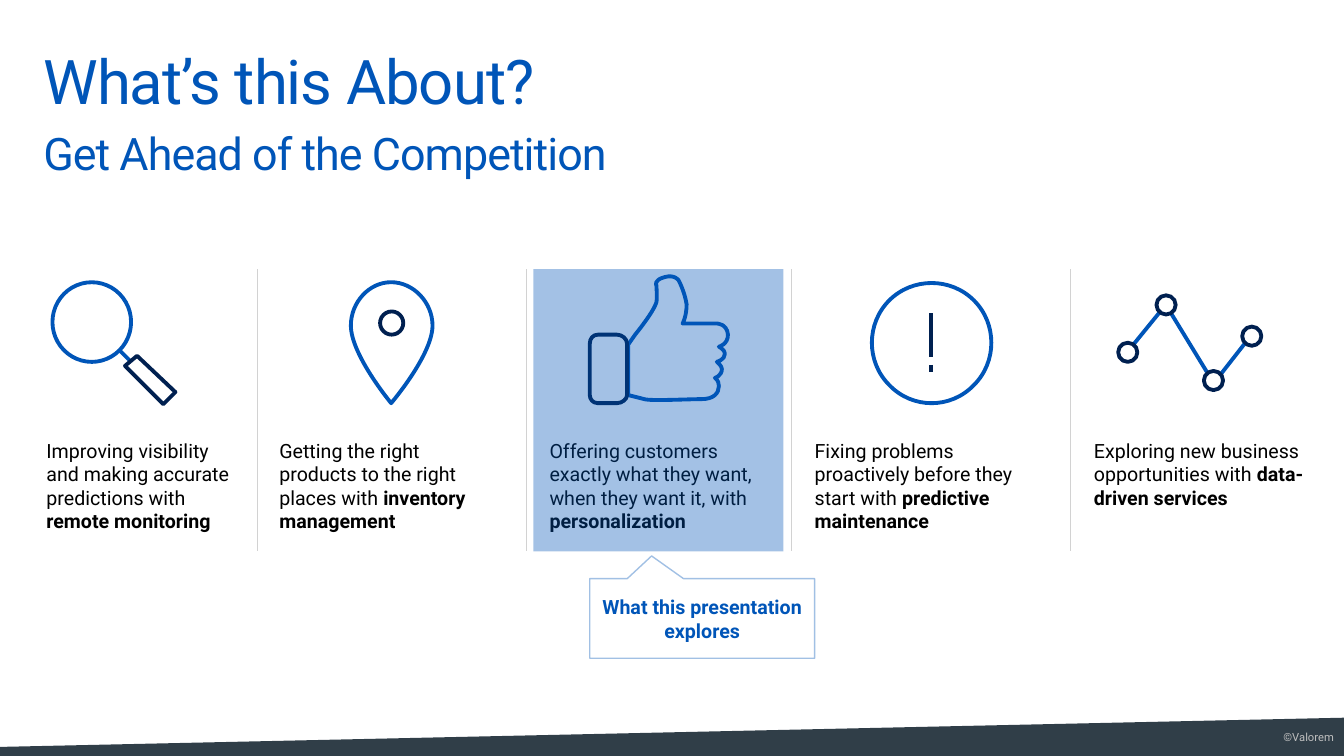
from lxml import etree
from pptx import Presentation
from pptx.dml.color import RGBColor
from pptx.enum.shapes import MSO_CONNECTOR, MSO_SHAPE
from pptx.enum.text import MSO_ANCHOR, PP_ALIGN
from pptx.oxml.ns import qn
from pptx.util import Inches, Pt

STRAIGHT = MSO_CONNECTOR.STRAIGHT
RECT, OVAL = MSO_SHAPE.RECTANGLE, MSO_SHAPE.OVAL
CALLOUT = MSO_SHAPE.RECTANGULAR_CALLOUT
TOP, MIDDLE = MSO_ANCHOR.TOP, MSO_ANCHOR.MIDDLE
LEFT, CENTER, RIGHT = PP_ALIGN.LEFT, PP_ALIGN.CENTER, PP_ALIGN.RIGHT

THEME = {
    "font": "Roboto", "blue": "0055B8", "navy": "002050", "black": "000000",
    "rule": "D2D2D2", "slate": "303E48", "grey": "BFBFBF",
    "title": 44, "sub": 32, "body": 14, "foot": 8,
    "stroke": 2.75, "hair": 0.75, "alpha": 36,
}

# Left edge, width, height, plain words, bold words
TOPICS = [
    (0.46, 1.85, 0.88, "Improving visibility and making accurate predictions with ",
     "remote monitoring"),
    (2.77, 2.21, 0.88, "Getting the right products to the right places with ",
     "inventory management"),
    (5.45, 2.18, 1.05, "Offering customers exactly what they want, when they want it, with ",
     "personalization"),
    (8.08, 2.31, 0.79, "Fixing problems proactively before they start with ",
     "predictive maintenance"),
    (10.85, 2.1, 0.53, "Exploring new business opportunities with ",
     "data-driven services"),
]
TEXT_TOP = 4.35
BAND_TOP, BAND_END = 2.67, 5.47
RULES = [2.55, 5.22, 7.85, 10.62]

# Icon parts: (colour, x1, y1, x2, y2) and (colour, left, top, width, height)
STROKES = [
    ("blue", 1.18, 3.47, 1.3, 3.59),
    ("navy", 9.23, 3.11, 9.23, 3.54), ("navy", 9.23, 3.62, 9.23, 3.69),
    ("blue", 11.24, 3.42, 11.5, 3.1), ("blue", 11.61, 3.1, 11.97, 3.69),
    ("blue", 12.11, 3.71, 12.36, 3.39),
]
NODE = 0.19
NODES = [(11.47, 2.93), (11.09, 3.4), (12.32, 3.24), (11.94, 3.68)]
RINGS = [("blue", 0.52, 2.8, 0.78, 0.79), ("navy", 3.77, 3.09, 0.23, 0.23)]
RINGS += [("navy", x, y, NODE, NODE) for x, y in NODES]

# Outlines: a pair is a straight step, six numbers are a Bezier step
FOOTER = [(13.33, 7.12), (13.33, 7.5), (0, 7.5), (0, 7.41)]
HANDLE = [(1.74, 3.89), (1.62, 4.01), (1.24, 3.63), (1.36, 3.53)]
PIN = [
    (4.29, 3.23), (4.29, 3, 4.1, 2.8, 3.88, 2.8), (3.66, 2.8, 3.48, 3, 3.48, 3.23),
    (3.48, 3.52, 3.88, 4, 3.88, 4), (3.88, 4, 4.29, 3.52, 4.29, 3.23),
]
THUMB = [
    (6.3, 3.32), (6.3, 3.32, 6.48, 3.1, 6.51, 3), (6.52, 2.96, 6.51, 2.83, 6.51, 2.83),
    (6.51, 2.83, 6.48, 2.78, 6.59, 2.75), (6.69, 2.72, 6.73, 2.78, 6.73, 2.78),
    (6.73, 2.78, 6.79, 2.89, 6.81, 3.02), (6.81, 3.14, 6.77, 3.21, 6.77, 3.21),
    (7.11, 3.21), (7.11, 3.21, 7.21, 3.21, 7.22, 3.32),
    (7.22, 3.42, 7.13, 3.44, 7.13, 3.44), (7.13, 3.44, 7.19, 3.47, 7.19, 3.51),
    (7.19, 3.57, 7.11, 3.59, 7.11, 3.59), (7.11, 3.59, 7.16, 3.63, 7.16, 3.66),
    (7.16, 3.73, 7.09, 3.75, 7.09, 3.75), (7.09, 3.75, 7.13, 3.77, 7.13, 3.83),
    (7.13, 3.9, 7.08, 3.96, 6.96, 3.96), (6.83, 3.96, 6.45, 3.98, 6.39, 3.96),
    (6.23, 3.92), (6.23, 3.42),
]
CUFF = [
    (6.12, 4), (5.93, 4), (5.88, 4, 5.85, 3.96, 5.85, 3.92), (5.85, 3.41),
    (5.85, 3.36, 5.88, 3.32, 5.93, 3.32), (6.12, 3.32),
    (6.17, 3.32, 6.22, 3.36, 6.22, 3.41), (6.22, 3.92),
    (6.22, 3.96, 6.17, 4, 6.12, 4),
]
ALERT = [
    (9.66, 2.98), (9.89, 3.21, 9.89, 3.59, 9.66, 3.82),
    (9.43, 4.06, 9.05, 4.06, 8.82, 3.82), (8.59, 3.59, 8.59, 3.21, 8.82, 2.98),
    (9.05, 2.75, 9.43, 2.75, 9.66, 2.98),
]
OUTLINES = [("navy", HANDLE), ("blue", PIN), ("blue", THUMB), ("navy", CUFF), ("blue", ALERT)]

deck = Presentation()
deck.slide_width, deck.slide_height = Inches(13.33), Inches(7.5)
slide = deck.slides.add_slide(deck.slide_layouts[6])
shapes = slide.shapes


def color(name):
    return RGBColor.from_string(THEME[name])


def paint(shape, fill=None, line=None, width=THEME["stroke"]):
    shape.shadow.inherit = False
    if fill:
        shape.fill.solid()
        shape.fill.fore_color.rgb = color(fill)
    else:
        shape.fill.background()
    if line:
        shape.line.color.rgb = color(line)
        shape.line.width = Pt(width)
    else:
        shape.line.fill.background()
    return shape


def fade(shape):
    """Make the fill and line colours see-through."""
    for tone in shape._element.spPr.iter(qn("a:srgbClr")):
        etree.SubElement(tone, qn("a:alpha")).set("val", str(THEME["alpha"] * 1000))


def preset(kind, box, **look):
    return paint(shapes.add_shape(kind, *map(Inches, box)), **look)


def stroke(tone, ends, width=THEME["stroke"]):
    line = shapes.add_connector(STRAIGHT, *map(Inches, ends))
    line.line.color.rgb = color(tone)
    line.line.width = Pt(width)
    etree.SubElement(line._element.spPr, qn("a:effectLst"))


def outline(steps, **look):
    """Draw a closed shape, turning each six-number step into a Bezier curve."""
    start, *rest = [[Inches(n) for n in step] for step in steps]
    pen = shapes.build_freeform(*start, scale=1.0)
    for step in rest:
        pen.add_line_segments(list(zip(step[::2], step[1::2])), close=False)
    pen.add_line_segments([], close=True)
    shape = pen.convert_to_shape()
    parts = iter(list(shape._element.iter(qn("a:lnTo"))))
    for step in rest:
        part = next(parts)
        if len(step) == 6:
            part.tag = qn("a:cubicBezTo")
            for extra in (next(parts), next(parts)):
                part.append(extra[0])
                extra.getparent().remove(extra)
    return paint(shape, **look)


def write(shape, paras, tone="black", align=LEFT, anchor=TOP, inset=None,
          before=0, after=0, track=None):
    """Fill a shape with paragraphs, each a list of (words, size, bold)."""
    frame = shape.text_frame
    frame.word_wrap = True
    frame.vertical_anchor = anchor
    if inset:
        (frame.margin_left, frame.margin_top,
         frame.margin_right, frame.margin_bottom) = map(Inches, inset)
    for i, runs in enumerate(paras):
        para = frame.add_paragraph() if i else frame.paragraphs[0]
        para.alignment = align
        para.space_before, para.space_after = Pt(before if i else 0), Pt(after)
        for words, size, bold in runs:
            run = para.add_run()
            run.text = words
            run.font.name, run.font.size = THEME["font"], Pt(THEME[size])
            run.font.bold, run.font.color.rgb = bold, color(tone)
            if track:
                run._r.get_or_add_rPr().set("spc", str(track))


footer = outline(FOOTER, fill="slate")
write(footer, [[("©Valorem", "foot", False)]], tone="grey", align=RIGHT, anchor=MIDDLE)

for left, width, height, plain, bold in TOPICS:
    box = shapes.add_textbox(*map(Inches, (left, TEXT_TOP, width, height)))
    write(box, [[(plain, "body", False), (bold, "body", True)]],
          inset=(0, 0, 0, 0), after=12)
for x in RULES:
    stroke("rule", (x, BAND_TOP, x, BAND_END), THEME["hair"])
for tone, *ends in STROKES:
    stroke(tone, ends)
for tone, *box in RINGS:
    preset(OVAL, box, line=tone)
for tone, steps in OUTLINES:
    outline(steps, line=tone)

head = shapes.add_textbox(0, 0, Inches(13.33), Inches(2.38))
write(head, [[("What’s this About?", "title", False)],
             [("Get Ahead of the Competition", "sub", False)]],
      tone="blue", inset=(0.43, 0.43, 0, 0.1), before=6, track=-70)

fade(preset(RECT, (5.29, BAND_TOP, 2.48, BAND_END - BAND_TOP), fill="blue"))
note = preset(CALLOUT, (5.85, 5.74, 2.23, 0.79), line="blue", width=1)
note.adjustments[0], note.adjustments[1] = -0.225, -0.785
fade(note)
write(note, [[("What this presentation explores", "body", True)]],
      tone="blue", align=CENTER, anchor=MIDDLE)

deck.save("out.pptx")
